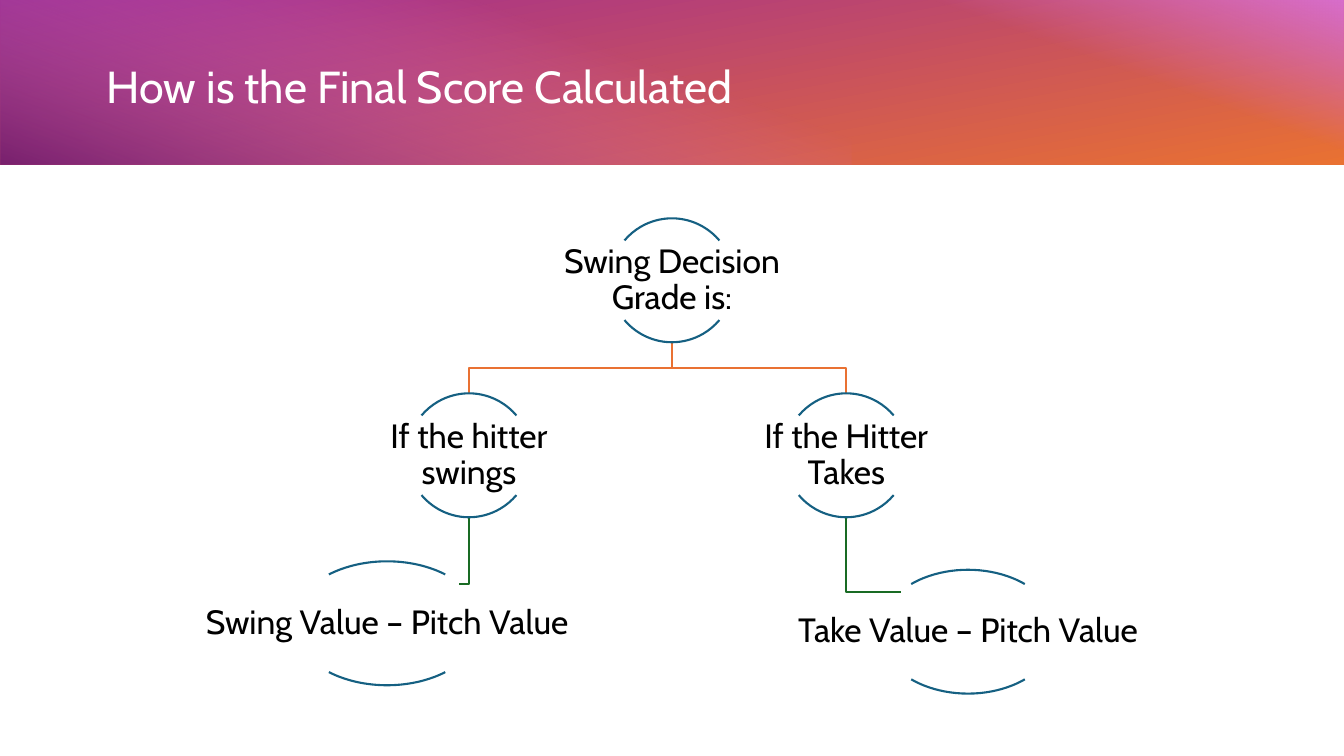
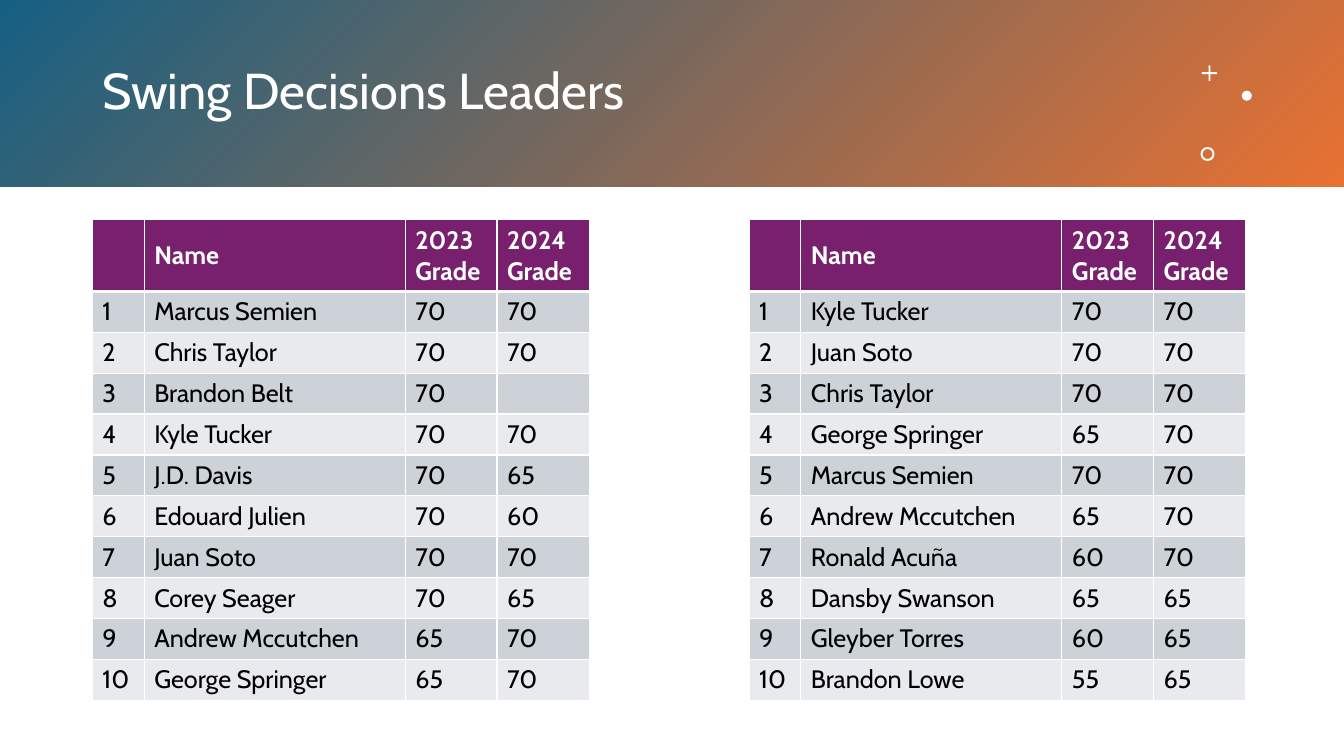
from dataclasses import dataclass

from lxml import etree
from pptx import Presentation
from pptx.dml.color import RGBColor
from pptx.enum.shapes import MSO_SHAPE
from pptx.enum.text import MSO_ANCHOR, MSO_AUTO_SIZE, PP_ALIGN
from pptx.oxml.ns import qn
from pptx.util import Pt

RECT, ARC = MSO_SHAPE.RECTANGLE, MSO_SHAPE.ARC
CROSS, OVAL, DONUT = MSO_SHAPE.CROSS, MSO_SHAPE.OVAL, MSO_SHAPE.DONUT
LEFT, CENTER = PP_ALIGN.LEFT, PP_ALIGN.CENTER
MIDDLE, NO_FIT = MSO_ANCHOR.MIDDLE, MSO_AUTO_SIZE.NONE
TITLE_ONLY = 5
SLIDE_W, SLIDE_H = 960, 540


@dataclass(frozen=True)
class Theme:
    font: str = "Cabin"
    white: str = "FFFFFF"
    black: str = "000000"
    blue: str = "156082"
    orange: str = "E97132"
    green: str = "196B24"
    magenta: str = "A02B93"
    pink: str = "D86ECC"
    purple: str = "78206E"
    row_dark: str = "CCD2D8"
    row_light: str = "E8EAED"
    node_size: float = 24
    table_size: float = 18
    line: float = 1.5


THEME = Theme()

PLAYERS_2023 = [
    ("Marcus Semien", "70", "70"),
    ("Chris Taylor", "70", "70"),
    ("Brandon Belt", "70", ""),
    ("Kyle Tucker", "70", "70"),
    ("J.D. Davis", "70", "65"),
    ("Edouard Julien", "70", "60"),
    ("Juan Soto", "70", "70"),
    ("Corey Seager", "70", "65"),
    ("Andrew Mccutchen", "65", "70"),
    ("George Springer", "65", "70"),
]
PLAYERS_2024 = [
    ("Kyle Tucker", "70", "70"),
    ("Juan Soto", "70", "70"),
    ("Chris Taylor", "70", "70"),
    ("George Springer", "65", "70"),
    ("Marcus Semien", "70", "70"),
    ("Andrew Mccutchen", "65", "70"),
    ("Ronald Acuña", "60", "70"),
    ("Dansby Swanson", "65", "65"),
    ("Gleyber Torres", "60", "65"),
    ("Brandon Lowe", "55", "65"),
]


def rgb(color):
    return RGBColor.from_string(color)


def points(*lengths):
    return [Pt(length) for length in lengths]


def write_text(frame, text, size, color, bold=False, align=LEFT, spacing=None):
    paragraph = frame.paragraphs[0]
    paragraph.alignment = align
    if spacing:
        paragraph.line_spacing = spacing
    if text:
        run = paragraph.add_run()
        run.text = text
        font = run.font
        font.name, font.size, font.bold = THEME.font, Pt(size), bold
        font.color.rgb = rgb(color)


def add_preset(slide, kind, box, fill=None, line=None):
    shape = slide.shapes.add_shape(kind, *points(*box))
    style_shape(shape, fill, line)
    return shape


def style_shape(shape, fill, line):
    shape.shadow.inherit = False
    if fill:
        shape.fill.solid()
        shape.fill.fore_color.rgb = rgb(fill)
    else:
        shape.fill.background()
    if line:
        shape.line.color.rgb = rgb(line)
        shape.line.width = Pt(THEME.line)
    else:
        shape.line.fill.background()


# Header band and title
def add_gradient(slide, box, stops, angle, turn=0, fade=False):
    """Fill the visible box; a quarter turn swaps the sides of the shape."""
    x, y, w, h = box
    if turn:
        x, y, w, h = x + (w - h) / 2, y + (h - w) / 2, h, w
    layer = add_preset(slide, RECT, (x, y, w, h))
    layer.rotation = turn
    layer.fill.gradient()
    layer.fill.gradient_angle = 360 - angle
    for stop, (position, color) in zip(layer.fill.gradient_stops, stops):
        stop.position = position
        stop.color.rgb = rgb(color)
    if fade:
        first_color = next(layer.element.iter(qn("a:srgbClr")))
        etree.SubElement(first_color, qn("a:alpha"), val="0")


def add_title(slide, box, text, size):
    title = slide.shapes.title
    title.left, title.top, title.width, title.height = points(*box)
    frame = title.text_frame
    frame.word_wrap, frame.auto_size = True, NO_FIT
    frame.vertical_anchor = MIDDLE
    write_text(frame, text, size, THEME.white, spacing=0.9)
    # The title sits above the band
    title.element.getparent().append(title.element)


def add_sunset_band(slide, box):
    x, y, w, h = box
    add_gradient(slide, box, [(0, THEME.magenta), (1, THEME.orange)], 170, turn=270)
    pink_w, purple_w = 399, 608
    add_gradient(slide, (x + w - pink_w, y, pink_w, h),
                 [(0.59, THEME.pink), (1, THEME.pink)], 20, turn=270, fade=True)
    add_gradient(slide, (x, y, purple_w, h),
                 [(0.29, THEME.pink), (1, THEME.purple)], 20, turn=90, fade=True)


def add_ornaments(slide, x, y):
    for kind, dx, dy, size, adjust in [(CROSS, 1, 0, 11, 0.44),
                                       (OVAL, 29.5, 18, 7.2, None),
                                       (DONUT, 0, 58.2, 10, 0.14)]:
        ornament = add_preset(slide, kind, (x + dx, y + dy, size, size), THEME.white)
        if adjust:
            ornament.adjustments[0] = adjust


# Decision tree
@dataclass(frozen=True)
class Node:
    text: str
    center: float
    top: float
    width: float = 88.5
    height: float = 88.5

    @property
    def bottom(self):
        return self.top + self.height

    @property
    def text_top(self):
        return self.top + 0.18 * self.height

    def arc_end(self, side):
        return self.center + side * 0.38 * self.width


def add_node(slide, node):
    for start, end in [(132, 192), (24, 84)]:
        arc = add_preset(slide, ARC, (node.center - node.width / 2, node.top,
                                      node.width, node.height), line=THEME.blue)
        arc.adjustments[0], arc.adjustments[1] = start, end
    label = slide.shapes.add_textbox(*points(node.center - node.width, node.text_top,
                                             2 * node.width, 0.64 * node.height))
    frame = label.text_frame
    frame.word_wrap, frame.vertical_anchor = True, MIDDLE
    frame.margin_left = frame.margin_right = Pt(1.2)
    frame.margin_top = frame.margin_bottom = Pt(1.2)
    write_text(frame, node.text, THEME.node_size, THEME.black,
               align=CENTER, spacing=0.9)


def add_elbow(slide, corners, color):
    start, *rest = [tuple(points(*corner)) for corner in corners]
    builder = slide.shapes.build_freeform(*start, scale=1.0)
    builder.add_line_segments(rest, close=False)
    style_shape(builder.convert_to_shape(), None, color)


def add_tree(slide, box):
    x, y, w, _ = box
    level = y + 125
    root = Node("Swing Decision Grade is:", x + w / 2, y)
    branches = [
        (Node("If the hitter swings", x + 194, level),
         Node("Swing Value – Pitch Value", x + 135.5, y + 245, 135), 1),
        (Node("If the Hitter Takes", x + 463.5, level),
         Node("Take Value – Pitch Value", x + 550.5, y + 251, 127), -1),
    ]
    fork = (root.bottom + level) / 2
    for choice, result, side in branches:
        add_elbow(slide, [(choice.center, choice.bottom),
                          (choice.center, result.text_top),
                          (result.arc_end(side), result.text_top)], THEME.green)
        add_elbow(slide, [(root.center, root.bottom), (root.center, fork),
                          (choice.center, fork), (choice.center, level)], THEME.orange)
    add_node(slide, root)
    for choice, result, _ in branches:
        add_node(slide, choice)
        add_node(slide, result)


# Leader tables
def set_borders(cell, top, bottom):
    properties = cell._tc.get_or_add_tcPr()
    for side, width in [("L", 1), ("R", 1), ("T", top), ("B", bottom)]:
        border = etree.SubElement(properties, qn(f"a:ln{side}"), w=str(Pt(width)))
        fill = etree.SubElement(border, qn("a:solidFill"))
        etree.SubElement(fill, qn("a:srgbClr"), val=THEME.white)


def add_leaders(slide, box, players):
    rows = [("", "Name", "2023 Grade", "2024 Grade")]
    rows += [(str(rank), *player) for rank, player in enumerate(players, 1)]
    widths = (37, 186.5, 65.5, 66)
    header_h = 50.4
    row_h = (box[3] - header_h) / len(players)
    table = slide.shapes.add_table(len(rows), len(widths), *points(*box)).table
    table.first_row = table.horz_banding = False
    for column, width in zip(table.columns, widths):
        column.width = Pt(width)
    for r, values in enumerate(rows):
        header = r == 0
        table.rows[r].height = Pt(header_h if header else row_h)
        band = THEME.purple if header else (THEME.row_light, THEME.row_dark)[r % 2]
        for c, value in enumerate(values):
            cell = table.cell(r, c)
            set_borders(cell, top=3 if r == 1 else 1, bottom=3 if header else 1)
            cell.fill.solid()
            cell.fill.fore_color.rgb = rgb(band)
            cell.vertical_anchor = MIDDLE
            write_text(cell.text_frame, value, THEME.table_size,
                       THEME.white if header else THEME.black, bold=header)


# Slides
def build_score_slide(slide):
    add_sunset_band(slide, (0, 0, SLIDE_W, 117.5))
    add_title(slide, (69, 24, 825, 79), "How is the Final Score Calculated", 32)
    add_tree(slide, (141, 156, 678, 340))


def build_leaders_slide(slide):
    add_gradient(slide, (0, 0, SLIDE_W, 133),
                 [(0, THEME.blue), (1, THEME.orange)], 45)
    add_title(slide, (66, 24, 774, 85.5), "Swing Decisions Leaders", 36)
    add_ornaments(slide, 857.5, 46.8)
    for x, players in [(66, PLAYERS_2023), (535, PLAYERS_2024)]:
        add_leaders(slide, (x, 157, 355, 342.4), players)


def main():
    deck = Presentation()
    deck.slide_width, deck.slide_height = points(SLIDE_W, SLIDE_H)
    for build in (build_score_slide, build_leaders_slide):
        build(deck.slides.add_slide(deck.slide_layouts[TITLE_ONLY]))
    deck.save("out.pptx")


if __name__ == "__main__":
    main()
